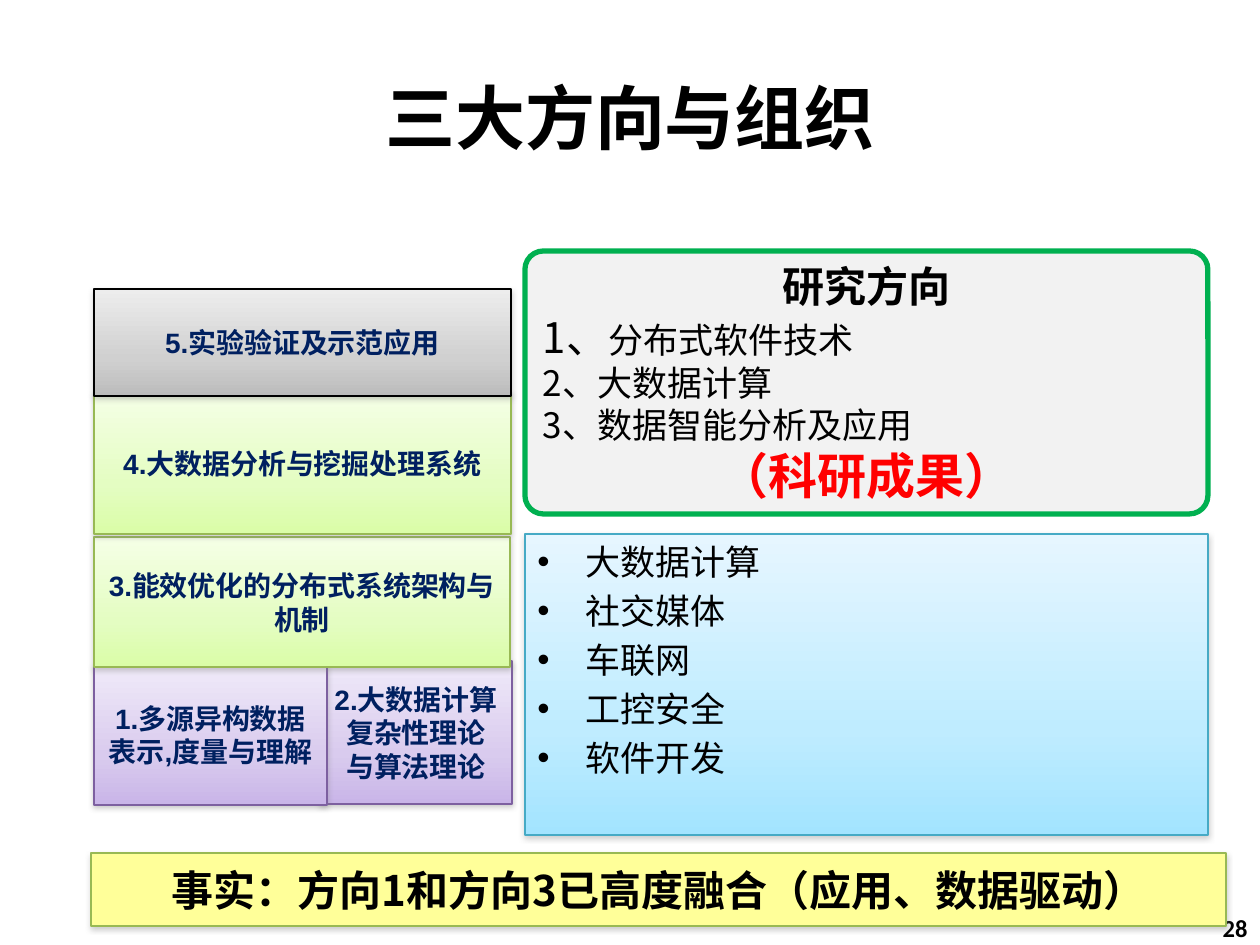
"""Build the slide on three research directions and their organisation."""
from copy import deepcopy

from lxml.etree import SubElement
from pptx import Presentation
from pptx.dml.color import RGBColor
from pptx.enum.shapes import MSO_SHAPE
from pptx.enum.text import MSO_ANCHOR, PP_ALIGN
from pptx.oxml.ns import qn
from pptx.util import Pt

PX = 914400 / 126
SANS = "Noto Sans CJK SC"

TITLE = "三大方向与组织"
PAGE_NUMBER = "28"
FACT = "事实：方向1和方向3已高度融合（应用、数据驱动）"
TOPICS = ["大数据计算", "社交媒体", "车联网", "工控安全", "软件开发"]
DIRECTIONS = [
    ([("研究方向", {"size": 24, "bold": True})], PP_ALIGN.CENTER),
    ([("1、", {"size": 24}), ("分布式软件技术", {})], PP_ALIGN.LEFT),
    ([("2、大数据计算", {})], PP_ALIGN.LEFT),
    ([("3、数据智能分析及应用", {})], PP_ALIGN.LEFT),
    ([("（科研成果）", {"size": 28, "bold": True, "color": "FF0000"})], PP_ALIGN.CENTER),
]

PURPLE = (["F0EAF9", "D9CBEE", "C9B5E8"], "7D60A0")
GREEN = (["F5FFE6", "E4FDC2", "DAFDA7"], "98B954")
GRAY = (["EDEDED", "D0D0D0", "BCBCBC"], "000000")
BLUE = (["E6F6FF", "BFECFF", "A3E4FF"], "46AAC5")
YELLOW = ("FFFF99", "98B954")
LAYERS = [
    (["2.大数据计算复杂性理论与算法理论"], (320, 661, 192, 143), PURPLE),
    (["1.多源异构数据", "表示,度量与理解"], (94, 665, 233, 140), PURPLE),
    (["3.能效优化的分布式系统架构与机制"], (94, 537, 416, 130), GREEN),
    (["4.大数据分析与挖掘处理系统"], (94, 392, 417, 142), GREEN),
    (["5.实验验证及示范应用"], (94, 289, 417, 107), GRAY),
]


def rgb(value):
    return RGBColor.from_string(value)


def emu(pixels):
    return round(pixels * PX)


def place(shape, box):
    shape.left, shape.top, shape.width, shape.height = map(emu, box)


def format_font(font, name, size, color, bold):
    font.name, font.size, font.bold = name, Pt(size), bold
    font.color.rgb = rgb(color)


def write(shape, paragraphs, font="Calibri", size=20, color="000000", bold=False,
          align=PP_ALIGN.CENTER, anchor=MSO_ANCHOR.MIDDLE, bullet=False, gap=0):
    """Write plain strings or (runs, alignment) pairs into a shape."""
    frame = shape.text_frame
    frame.word_wrap = True
    frame.vertical_anchor = anchor
    for index, item in enumerate(paragraphs):
        runs, alignment = ([(item, {})], align) if isinstance(item, str) else item
        paragraph = frame.add_paragraph() if index else frame.paragraphs[0]
        paragraph.alignment = alignment
        if index and gap:
            paragraph.space_before = Pt(gap)
        if bullet:
            properties = paragraph._p.get_or_add_pPr()
            properties.set("marL", str(emu(48)))
            properties.set("indent", str(-emu(48)))
            SubElement(properties, qn("a:buFont"), typeface="Arial")
            SubElement(properties, qn("a:buChar"), char="•")
        for text, changes in runs:
            run = paragraph.add_run()
            run.text = text
            style = {"name": font, "size": size, "color": color, "bold": bold}
            format_font(run.font, **{**style, **changes})
            SubElement(run._r.get_or_add_rPr(), qn("a:ea"), typeface=SANS)


def fill_gradient(shape, colors):
    shape.fill.gradient()
    shape.fill.gradient_angle = 270
    stops = shape._element.spPr.find(qn("a:gradFill")).find(qn("a:gsLst"))
    stops.insert(1, deepcopy(stops[0]))
    for stop, position, color in zip(shape.fill.gradient_stops, (0, 0.65, 1), colors):
        stop.position = position
        stop.color.rgb = rgb(color)


def add_shadow(shape):
    effects = shape._element.spPr.find(qn("a:effectLst"))
    shadow = SubElement(effects, qn("a:outerShdw"), blurRad="40000", dist="20000",
                        dir="5400000", rotWithShape="0")
    color = SubElement(shadow, qn("a:srgbClr"), val="808080")
    SubElement(color, qn("a:alpha"), val="38000")


def add_box(slide, box, colors, kind=MSO_SHAPE.RECTANGLE, line_width=0.75, shadow=True):
    fill, line = colors
    shape = slide.shapes.add_shape(kind, *map(emu, box))
    shape.shadow.inherit = False
    if isinstance(fill, str):
        shape.fill.solid()
        shape.fill.fore_color.rgb = rgb(fill)
    else:
        fill_gradient(shape, fill)
    shape.line.color.rgb = rgb(line)
    shape.line.width = Pt(line_width)
    if shadow:
        add_shadow(shape)
    return shape


def main():
    presentation = Presentation()
    presentation.slide_width, presentation.slide_height = emu(1260), emu(945)
    slide = presentation.slides.add_slide(presentation.slide_layouts[5])

    title = slide.shapes.title
    place(title, (63, 38, 1134, 158))
    write(title, [TITLE], size=40, bold=True)

    topics = add_box(slide, (525, 534, 683, 301), BLUE)
    write(topics, TOPICS, align=PP_ALIGN.LEFT, anchor=MSO_ANCHOR.TOP, bullet=True, gap=4)

    number = slide.shapes.add_textbox(*map(emu, (966, 910, 294, 35)))
    write(number, [PAGE_NUMBER], size=14, bold=True, align=PP_ALIGN.RIGHT)

    for paragraphs, box, colors in LAYERS:
        layer = add_box(slide, box, colors)
        write(layer, paragraphs, font="Arial", size=16, color="002060", bold=True)

    directions = add_box(slide, (525, 251, 683, 263), ("F2F2F2", "00B050"),
                         MSO_SHAPE.ROUNDED_RECTANGLE, line_width=3, shadow=False)
    directions.adjustments[0] = 0.07
    write(directions, DIRECTIONS, font=SANS)

    fact = add_box(slide, (91, 853, 1135, 73), YELLOW)
    write(fact, [FACT], font=SANS, size=24, bold=True)

    presentation.save("out.pptx")


if __name__ == "__main__":
    main()
